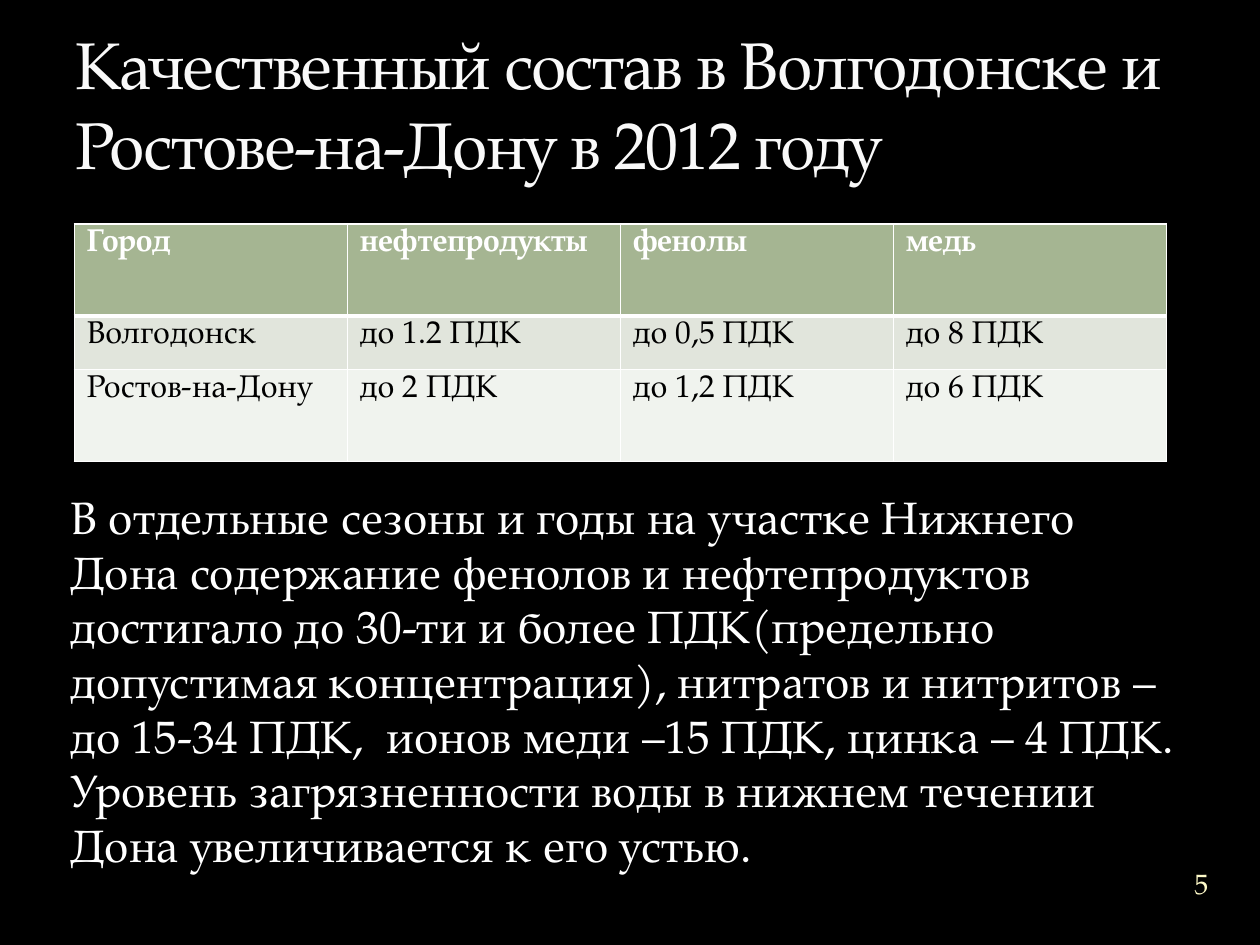
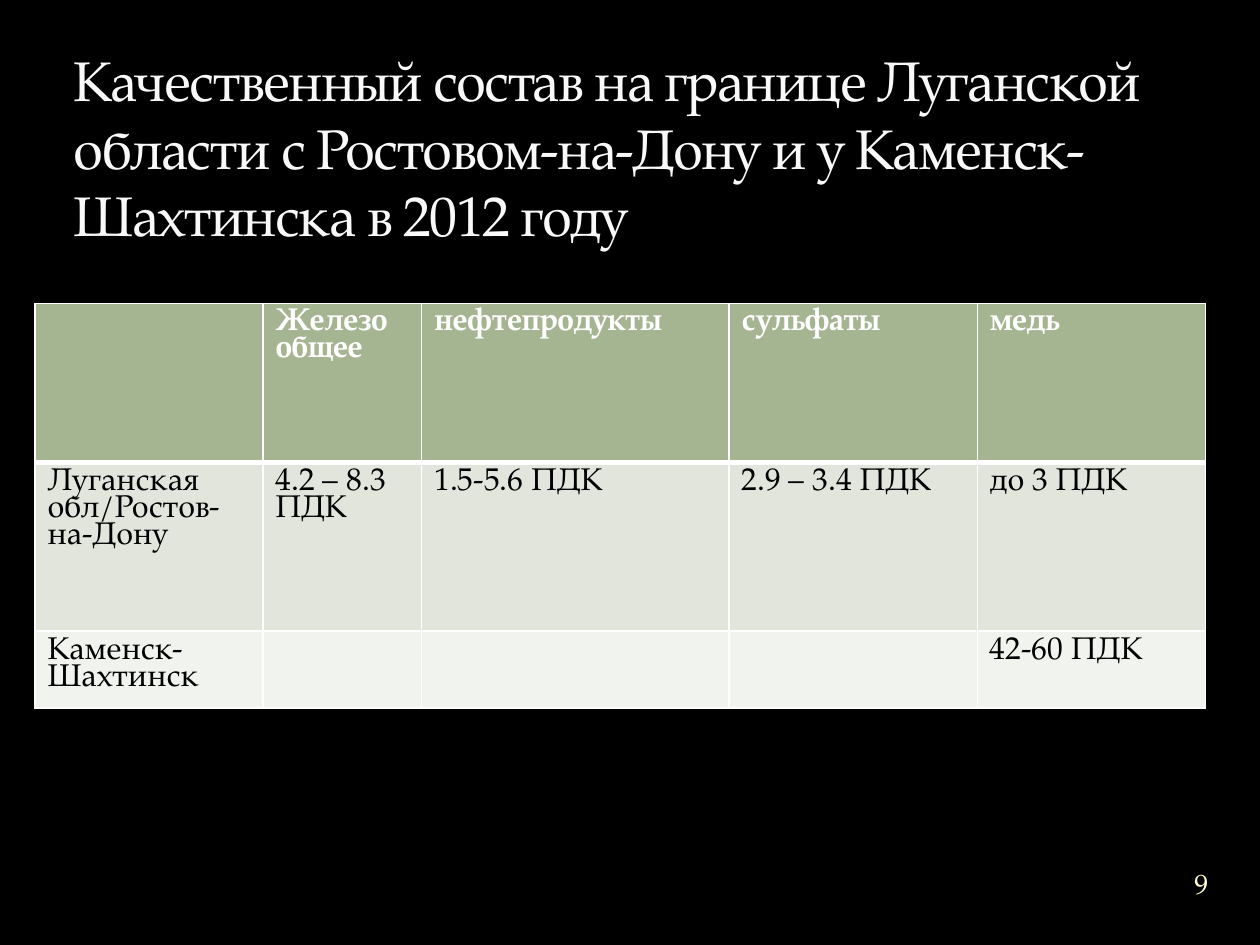
from lxml.etree import SubElement
from pptx import Presentation
from pptx.dml.color import RGBColor
from pptx.enum.text import MSO_ANCHOR, MSO_AUTO_SIZE, PP_ALIGN
from pptx.oxml import parse_xml
from pptx.oxml.ns import nsdecls, qn
from pptx.util import Pt

FONT = "TeX Gyre Pagella"
BLACK = RGBColor(0x00, 0x00, 0x00)
WHITE = RGBColor(0xFF, 0xFF, 0xFF)
TITLE_WHITE = RGBColor(0xF9, 0xF9, 0xF9)
TITLE_OUTLINE = RGBColor(0x3C, 0x44, 0x22)
CREAM = RGBColor(0xFE, 0xFA, 0xC9)
HEADER_GREEN = RGBColor(0xA5, 0xB5, 0x92)
BANDS = (RGBColor(0xE1, 0xE5, 0xDC), RGBColor(0xF0, 0xF3, 0xEE))

TITLE_AND_BODY, TITLE_ONLY = 1, 5
BODY_BOX = (33, 276, 647, 204)
NUMBER_BOX = (662.4, 486.7, 48.2, 36)

SLIDES = [
    {
        "number": "5",
        "title": "Качественный состав в Волгодонске и Ростове-на-Дону в 2012 году",
        "title_box": (36, 12, 648, 96),
        "title_size": 37.8,
        "table": [
            ("Город", "нефтепродукты", "фенолы", "медь"),
            ("Волгодонск", "до 1.2 ПДК", "до 0,5 ПДК", "до 8 ПДК"),
            ("Ростов-на-Дону", "до 2 ПДК", "до 1,2 ПДК", "до 6 ПДК"),
        ],
        "table_corner": (42.5, 128),
        "columns": [156] * 4,
        "rows": [52.6, 30.6, 52.6],
        "body": "В отдельные сезоны и годы на участке Нижнего Дона содержание "
                "фенолов и нефтепродуктов достигало до 30-ти и более "
                "ПДК(предельно допустимая концентрация), нитратов и нитритов – "
                "до 15-34 ПДК,  ионов меди –15 ПДК, цинка – 4 ПДК. "
                "Уровень загрязненности воды в нижнем течении Дона "
                "увеличивается к его устью.",
    },
    {
        "number": "9",
        "title": "Качественный состав на границе Луганской области с "
                 "Ростовом-на-Дону и у Каменск-Шахтинска в 2012 году",
        "title_box": (35, 49, 648, 96),
        "title_size": 32,
        "table": [
            ("", "Железо общее", "нефтепродукты", "сульфаты", "медь"),
            ("Луганская обл/Ростов-на-Дону", "4.2 – 8.3 ПДК", "1.5-5.6 ПДК",
             "2.9 – 3.4 ПДК", "до 3 ПДК"),
            ("Каменск-Шахтинск", "", "", "", "42-60 ПДК"),
        ],
        "table_corner": (20, 173.5),
        "columns": [130.3, 90.7, 175.7, 141.8, 130.3],
        "rows": [90.7, 96.5, 44],
    },
]


def place(shape, box):
    shape.left, shape.top, shape.width, shape.height = map(Pt, box)


def write(frame, text, size, color, bold=False, align=PP_ALIGN.LEFT):
    """Fill the frame with one styled paragraph and return the paragraph."""
    frame.text = text
    para = frame.paragraphs[0]
    para.alignment = align
    for font in [para.font] + [span.font for span in para.runs]:
        font.name, font.size, font.bold = FONT, Pt(size), bold
        font.color.rgb = color
    return para


def add_title(slide, text, box, size):
    title = slide.shapes.title
    place(title, box)
    frame = title.text_frame
    frame.auto_size = MSO_AUTO_SIZE.NONE
    frame.vertical_anchor = MSO_ANCHOR.BOTTOM
    para = write(frame, text, size, TITLE_WHITE)
    props = para.runs[0].font._element
    props.set("spc", "-100")
    props.insert(0, parse_xml(
        f'<a:ln w="{Pt(0.25)}" {nsdecls("a")}><a:solidFill>'
        f'<a:srgbClr val="{TITLE_OUTLINE}"><a:alpha val="25000"/></a:srgbClr>'
        '</a:solidFill></a:ln>'))


def add_body(slide, text):
    body = slide.placeholders[1]
    place(body, BODY_BOX)
    body.text_frame.auto_size = MSO_AUTO_SIZE.NONE
    para = write(body.text_frame, text, 26, WHITE)
    para.space_before = Pt(6)
    props = para._p.get_or_add_pPr()
    props.set("marL", "0")
    props.set("indent", "0")
    SubElement(props, qn("a:buNone"))
    # Paragraph defaults must follow the bullet setting
    props.append(props.find(qn("a:defRPr")))


def set_borders(cell, top, bottom):
    """Draw white borders: 1 pt at the sides, given widths above and below."""
    props = cell._tc.get_or_add_tcPr()
    sides = {"lnL": 1, "lnR": 1, "lnT": top, "lnB": bottom}
    for index, (side, width) in enumerate(sides.items()):
        props.insert(index, parse_xml(
            f'<a:{side} w="{Pt(width)}" {nsdecls("a")}><a:solidFill>'
            f'<a:srgbClr val="{WHITE}"/></a:solidFill></a:{side}>'))


def add_table(slide, content, corner, columns, rows):
    box = (*corner, sum(columns), sum(rows))
    table = slide.shapes.add_table(len(rows), len(columns), *map(Pt, box)).table
    table.horz_banding = False
    for column, width in zip(table.columns, columns):
        column.width = Pt(width)
    for index, (row, height, texts) in enumerate(zip(table.rows, rows, content)):
        row.height = Pt(height)
        header = index == 0
        for cell, text in zip(row.cells, texts):
            cell.fill.solid()
            cell.fill.fore_color.rgb = HEADER_GREEN if header else BANDS[(index - 1) % 2]
            para = write(cell.text_frame, text, 18, WHITE if header else BLACK, header)
            para.line_spacing = 0.85
            set_borders(cell, top=3 if index == 1 else 1, bottom=3 if header else 1)


def add_number(slide, number):
    box = slide.shapes.add_textbox(*map(Pt, NUMBER_BOX))
    frame = box.text_frame
    frame.word_wrap = True
    frame.margin_left = frame.margin_right = frame.margin_top = frame.margin_bottom = 0
    frame.vertical_anchor = MSO_ANCHOR.MIDDLE
    write(frame, number, 16, CREAM, align=PP_ALIGN.CENTER)


def main():
    deck = Presentation()
    deck.slide_width, deck.slide_height = Pt(720), Pt(540)
    background = deck.slide_master.background.fill
    background.solid()
    background.fore_color.rgb = BLACK

    for page in SLIDES:
        layout = TITLE_AND_BODY if "body" in page else TITLE_ONLY
        slide = deck.slides.add_slide(deck.slide_layouts[layout])
        add_title(slide, page["title"], page["title_box"], page["title_size"])
        if "body" in page:
            add_body(slide, page["body"])
        add_table(slide, page["table"], page["table_corner"], page["columns"], page["rows"])
        add_number(slide, page["number"])
    deck.save("out.pptx")


if __name__ == "__main__":
    main()
